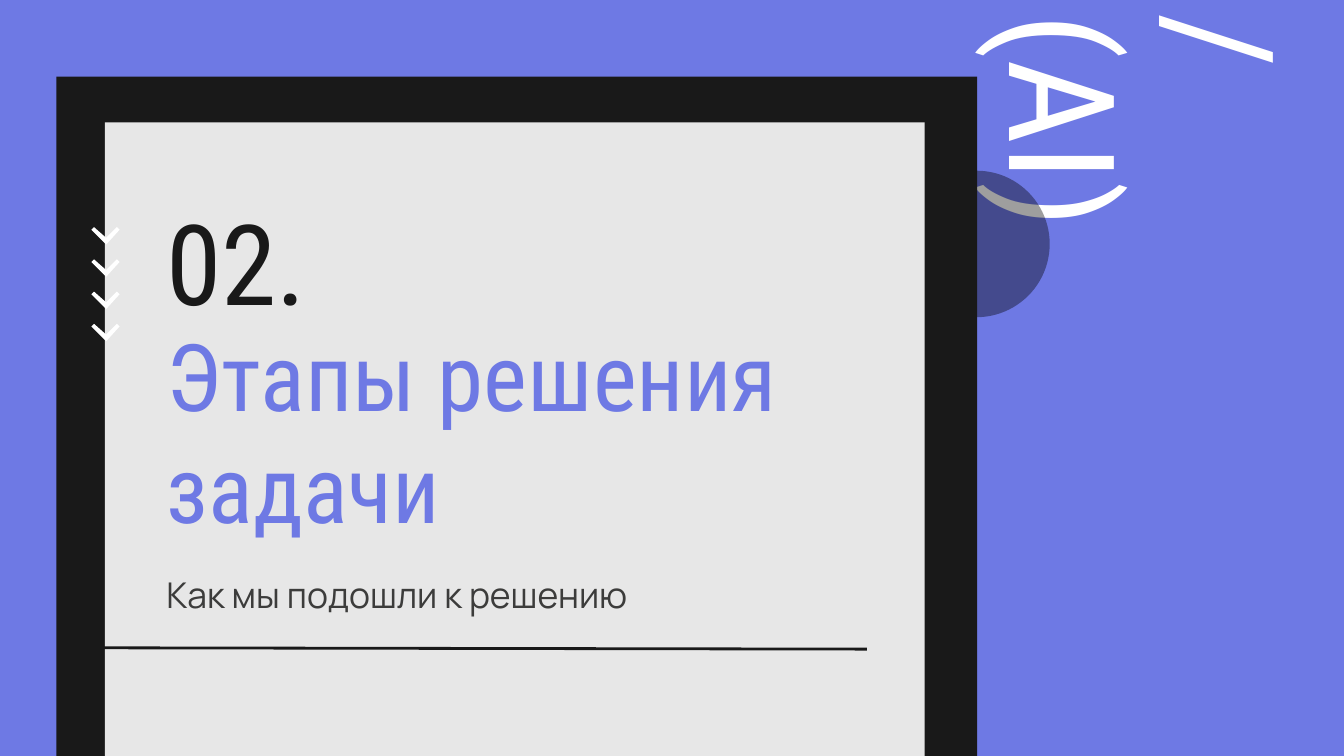
import pptx
import pptx.dml.color
import pptx.enum.shapes
import pptx.enum.text
import pptx.oxml.ns
import pptx.util
from lxml import etree
from pptx.util import Inches

RGBColor = pptx.dml.color.RGBColor
VIOLET = RGBColor(0x6E, 0x79, 0xE4)
BLACK = RGBColor(0, 0, 0)
DARK = RGBColor(0x19, 0x19, 0x19)
PANEL = RGBColor(0xE7, 0xE7, 0xE7)
GREY = RGBColor(0x3C, 0x3C, 0x3B)
WHITE = RGBColor(0xFF, 0xFF, 0xFF)
SHAPES = pptx.enum.shapes.MSO_SHAPE
ANCHOR = pptx.enum.text.MSO_ANCHOR
qn = pptx.oxml.ns.qn

# Widescreen slide, 16:9
presentation = pptx.Presentation()
presentation.slide_width = Inches(10)
presentation.slide_height = Inches(10) * 9 // 16
slide = presentation.slides.add_slide(presentation.slide_layouts[5])
slide.background.fill.solid()
slide.background.fill.fore_color.rgb = VIOLET


def write_text(shape, text, size, font, color, anchor=ANCHOR.MIDDLE):
    frame = shape.text_frame
    frame.word_wrap = True
    frame.auto_size = pptx.enum.text.MSO_AUTO_SIZE.NONE
    frame.vertical_anchor = anchor
    frame.margin_left = frame.margin_right = Inches(0.1)
    frame.margin_top = frame.margin_bottom = Inches(0.1)
    paragraph = frame.paragraphs[0]
    paragraph.alignment = pptx.enum.text.PP_ALIGN.LEFT
    run = paragraph.add_run()
    run.text = text
    run.font.size = pptx.util.Pt(size)
    run.font.name = font
    run.font.color.rgb = color
    return paragraph


def paint(shape, color):
    shape.shadow.inherit = False
    shape.fill.solid()
    shape.fill.fore_color.rgb = color
    shape.line.fill.background()


# Rotated decoration in the corner
decoration = slide.shapes.add_textbox(Inches(8.15), Inches(0.34), Inches(1.93), Inches(1.25))
decoration.rotation = 90
paragraph = write_text(decoration, "/(AI)", 79, "Roboto Condensed", WHITE, ANCHOR.TOP)
paragraph.line_spacing = 0.9

# Translucent circle behind the dark frame and its light panel
for kind, left, top, width, height, color in [
    (SHAPES.OVAL, 6.72, 1.27, 1.09, 1.09, BLACK),
    (SHAPES.RECTANGLE, 0.42, 0.57, 6.85, 5.06, DARK),
    (SHAPES.RECTANGLE, 0.78, 0.91, 6.1, 4.72, PANEL),
]:
    shape = slide.shapes.add_shape(kind, Inches(left), Inches(top), Inches(width), Inches(height))
    paint(shape, color)
    if kind == SHAPES.OVAL:
        color_element = shape.element.spPr.find(qn("a:solidFill"))[0]
        etree.SubElement(color_element, qn("a:alpha")).set("val", "38000")

# Title, brought in front of the panel
title = slide.shapes.title
title.left, title.top = Inches(1.14), Inches(2.4)
title.width, title.height = Inches(5.58), Inches(1.6)
title.element.getparent().append(title.element)
write_text(title, "Этапы решения задачи", 50, "Roboto Condensed", VIOLET)

# Section number and subtitle
number = slide.shapes.add_textbox(Inches(1.14), Inches(1.48), Inches(2.06), Inches(0.92))
write_text(number, "02.", 60, "Roboto Condensed", DARK)
subtitle = slide.shapes.add_textbox(Inches(1.14), Inches(4.03), Inches(5.58), Inches(0.78))
write_text(subtitle, "Как мы подошли к решению", 19, "Manrope", GREY)

# Column of chevrons at an equal pitch
CHEVRON = [(0, 0.02), (0.11, 0.13), (0.21, 0.02), (0.19, 0), (0.11, 0.08), (0.02, 0)]
chevrons = slide.shapes.add_group_shape()
for index in range(4):
    top = 1.69 + 0.24 * index
    points = [(Inches(0.68 + x), Inches(top + y)) for x, y in CHEVRON]
    builder = chevrons.shapes.build_freeform(*points[0])
    builder.add_line_segments(points[1:], close=True)
    paint(builder.convert_to_shape(), WHITE)

# Rule under the subtitle
rule = slide.shapes.add_connector(
    pptx.enum.shapes.MSO_CONNECTOR.STRAIGHT,
    Inches(0.5), Inches(4.82), Inches(6.45), Inches(4.83))
rule.line.color.rgb = DARK
rule.line.width = pptx.util.Pt(1.5)
etree.SubElement(rule.element.spPr, qn("a:effectLst"))

presentation.save("out.pptx")
